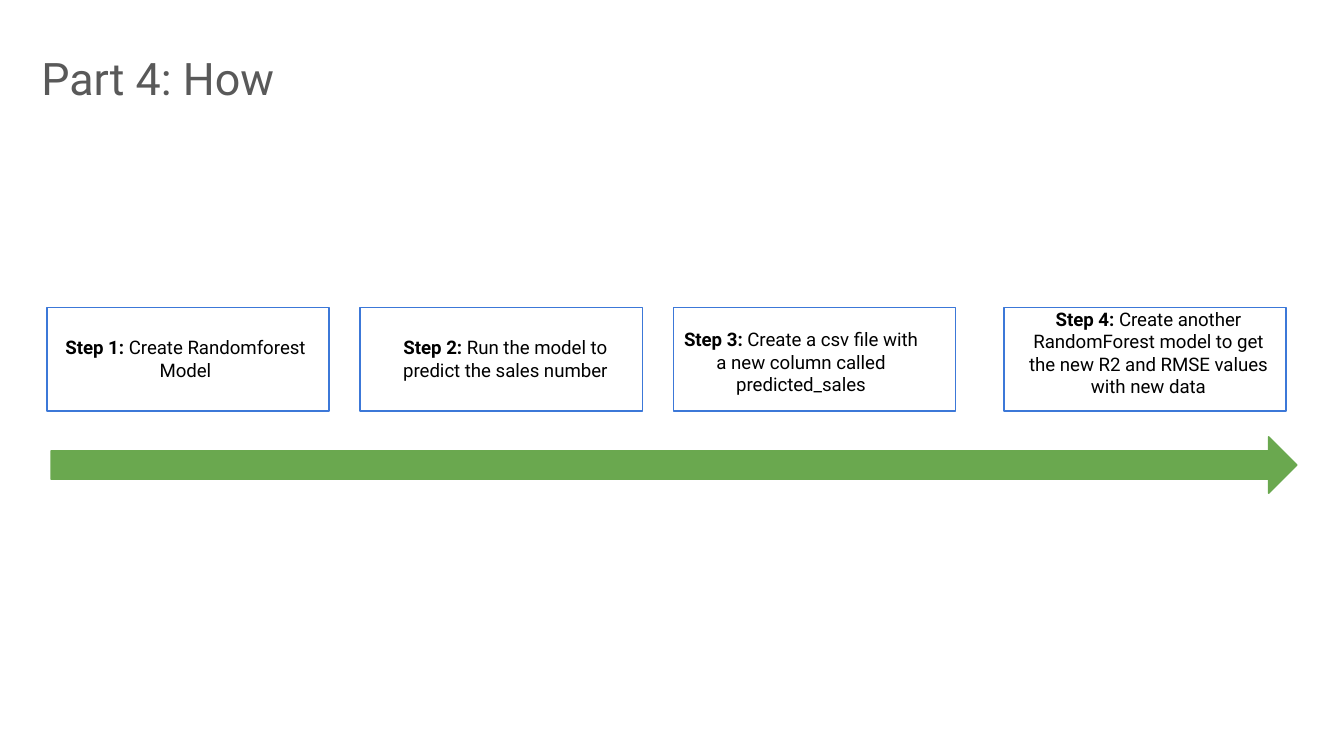
from pptx import Presentation
from pptx.dml.color import RGBColor
from pptx.enum.shapes import MSO_SHAPE
from pptx.enum.text import PP_ALIGN
from pptx.util import Inches, Pt

RECTANGLE = MSO_SHAPE.RECTANGLE
RIGHT_ARROW = MSO_SHAPE.RIGHT_ARROW
LEFT, CENTER = PP_ALIGN.LEFT, PP_ALIGN.CENTER

FONT = "Roboto"
GRAY = RGBColor(0x59, 0x59, 0x59)
BLACK = RGBColor(0x00, 0x00, 0x00)
BLUE = RGBColor(0x3C, 0x78, 0xD8)
GREEN = RGBColor(0x6A, 0xA8, 0x4F)

STEP_TOP, STEP_WIDTH, STEP_HEIGHT = 2.29, 2.1, 0.77

# Step box left, text offset inside the box (x, y), text size, wording
STEPS = [
    (0.35, (0.13, 0.21), (1.8, 0.81), "Create Randomforest Model"),
    (2.68, (0.18, 0.21), (1.8, 0.59), "Run the model to predict the sales number"),
    (5.01, (0.05, 0.15), (1.8, 0.74),
     "Create a csv file with a new column called predicted_sales"),
    (7.47, (0.11, 0), (1.93, 0.67),
     "Create another RandomForest model to get the new R2 and RMSE values with new data"),
]


def add_text(page, left, top, width, height, spans, size, color,
             align=LEFT, inset=0):
    """Add one paragraph made of (text, bold) spans."""
    box = page.shapes.add_textbox(
        Inches(left), Inches(top), Inches(width), Inches(height))
    frame = box.text_frame
    frame.word_wrap = True
    frame.margin_left = frame.margin_right = Inches(inset)
    frame.margin_top = frame.margin_bottom = Inches(inset)
    para = frame.paragraphs[0]
    para.alignment = align
    for text, bold in spans:
        span = para.add_run()
        span.text = text
        span.font.name = FONT
        span.font.size = Pt(size)
        span.font.bold = bold
        span.font.color.rgb = color


def add_outlined(page, kind, left, top, width, height, line, fill=None):
    shape = page.shapes.add_shape(
        kind, Inches(left), Inches(top), Inches(width), Inches(height))
    shape.shadow.inherit = False
    if fill is None:
        shape.fill.background()
    else:
        shape.fill.solid()
        shape.fill.fore_color.rgb = fill
    shape.line.color.rgb = line
    shape.line.width = Pt(0.75)


def add_title(page, left, top, width, height):
    add_text(page, left, top, width, height, [("Part 4: How", False)],
             24, GRAY, inset=0.1)


def add_step(page, left, top, width, height, number, offset, text_size, wording):
    add_text(page, left + offset[0], top + offset[1], *text_size,
             [(f"Step {number}: ", True), (wording, False)],
             10, BLACK, align=CENTER)
    add_outlined(page, RECTANGLE, left, top, width, height, BLUE)


def main():
    deck = Presentation()
    deck.slide_width = Inches(10)
    deck.slide_height = deck.slide_width * 9 // 16
    page = deck.slides.add_slide(deck.slide_layouts[6])

    add_title(page, 0.21, 0.28, 9.6, 0.64)
    for number, (left, offset, text_size, wording) in enumerate(STEPS, start=1):
        add_step(page, left, STEP_TOP, STEP_WIDTH, STEP_HEIGHT,
                 number, offset, text_size, wording)
    add_outlined(page, RIGHT_ARROW, 0.38, 3.25, 9.27, 0.42, GREEN, fill=GREEN)

    deck.save("out.pptx")


if __name__ == "__main__":
    main()
